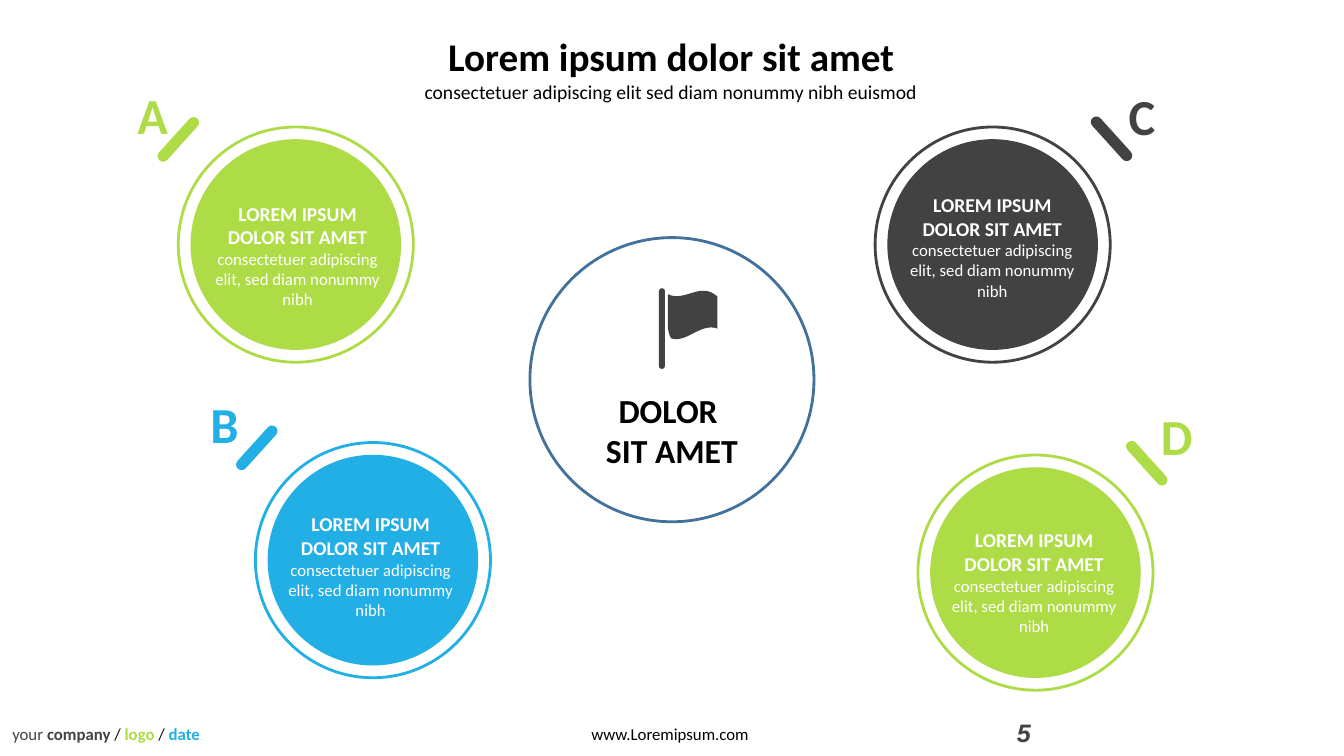
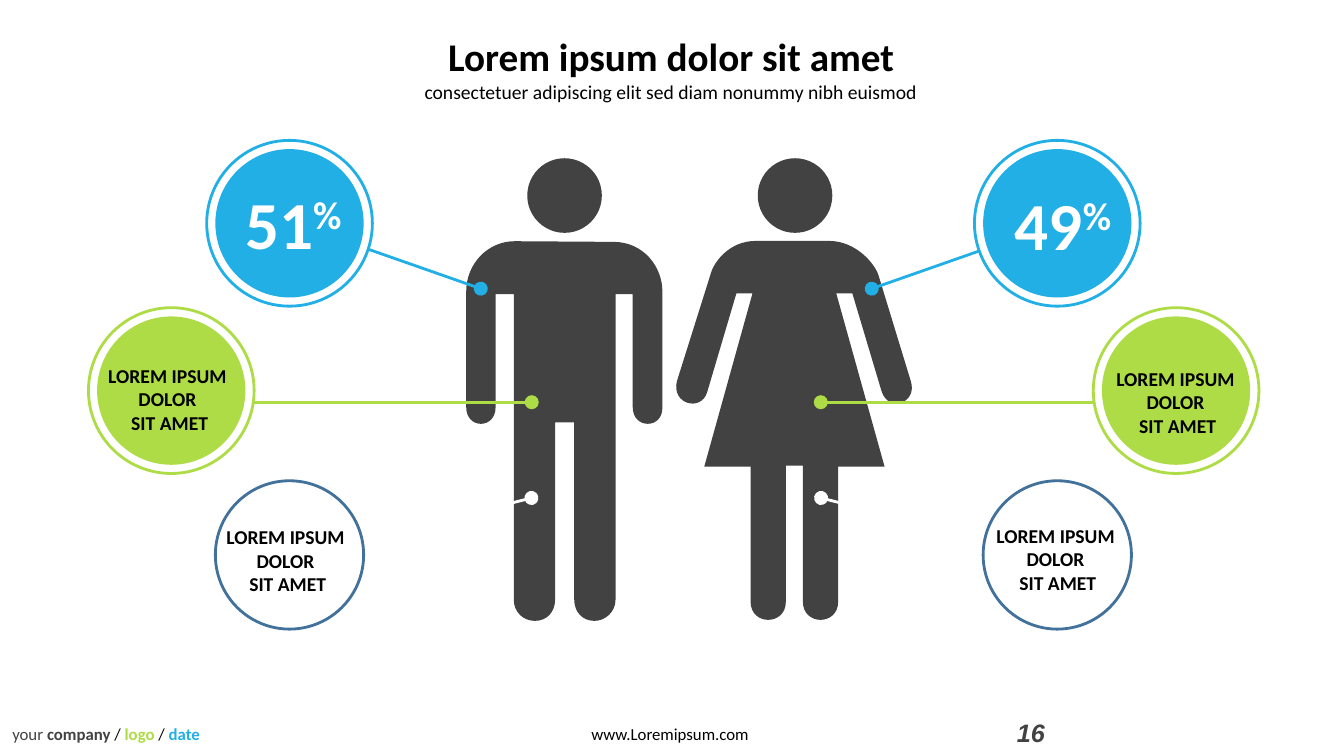
from dataclasses import dataclass

from lxml import etree
from pptx import Presentation
from pptx import util as u
from pptx.dml.color import RGBColor
from pptx.enum import shapes, text
from pptx.oxml import ns


@dataclass(frozen=True)
class Theme:
    lime: str = "AEDC46"
    sky: str = "21AFE6"
    charcoal: str = "424242"
    steel: str = "42719B"
    black: str = "000000"
    white: str = "FFFFFF"
    body_font: str = "Calibri"
    number_font: str = "Arial"
    small: float = 12
    label: float = 14
    number: float = 18
    hub: float = 24
    title: float = 28
    letter: float = 36
    percent: float = 48
    outline: float = 2


THEME = Theme()
LEFT, CENTER = text.PP_ALIGN.LEFT, text.PP_ALIGN.CENTER
OVAL, CAPSULE = shapes.MSO_SHAPE.OVAL, shapes.MSO_SHAPE.ROUNDED_RECTANGLE

Point = tuple[float, float]


@dataclass(frozen=True)
class Box:
    left: float
    top: float
    width: float
    height: float

    def lengths(self) -> tuple[u.Length, ...]:
        return tuple(u.Pt(v) for v in (self.left, self.top, self.width, self.height))


@dataclass(frozen=True)
class Span:
    """A stretch of text that departs from the style of its line."""
    words: str
    color: str | None = None
    bold: bool | None = None
    raised: bool = False


@dataclass(frozen=True)
class Line:
    spans: str | tuple[Span, ...]
    size: float
    color: str = THEME.black
    bold: bool = False
    italic: bool = False
    font: str = THEME.body_font


@dataclass(frozen=True)
class Topic:
    letter: str
    color: str
    center: Point
    words_at: Point
    bar_at: Point
    bar_angle: float
    letter_box: Box


@dataclass(frozen=True)
class Badge:
    center: Point
    color: str
    words: Box
    lines: tuple[Line, ...]
    align: text.PP_ALIGN = CENTER
    wrap: bool = True
    edge: str | None = None


@dataclass(frozen=True)
class Link:
    start: Point
    end: Point
    color: str


@dataclass(frozen=True)
class Outline:
    """A start point, then steps: 2 numbers for a line, 6 for a Bézier curve."""
    start: Point
    steps: tuple[tuple[float, ...], ...]


FLAG = Outline((477.4, 210.2), (
    (477.4, 234.7), (478, 238.3, 478.8, 241.2, 480.2, 241.9),
    (491, 244.8, 501.1, 230.4, 512.6, 234.7), (512.6, 211.7),
    (500.4, 200.9, 489.6, 216, 477.4, 210.2)))
WOMAN = Outline((592.6, 172.1), (
    (611.3, 172.1, 625, 187.9, 627.8, 196.6), (650.9, 272.2),
    (655.9, 288, 635, 295.2, 630, 279.4), (609.1, 209.5), (597.6, 209.5),
    (632.2, 333.4), (599, 333.4), (599, 429.8),
    (599, 447.1, 573.8, 447.1, 573.8, 429.8), (573.8, 332.6), (561.6, 332.6),
    (561.6, 429.8), (561.6, 447.1, 536.4, 447.1, 536.4, 429.8), (536.4, 333.4),
    (503.3, 333.4), (537.8, 209.5), (526.3, 209.5), (505.4, 280.1),
    (501.1, 294.5, 479.5, 288.7, 483.8, 272.2), (507.6, 196.6),
    (509.8, 187.2, 521.3, 172.1, 540, 172.1)))
MAN = Outline((367.2, 428.4), (
    (367.2, 437, 373.7, 443.5, 382.3, 443.5), (391, 443.5, 396.7, 437, 396.7, 428.4),
    (396.7, 301.7), (410.4, 301.7), (410.4, 428.4),
    (410.4, 437, 416.2, 443.5, 424.8, 443.5), (432.7, 443.5, 439.9, 437, 439.9, 428.4),
    (439.9, 210.2), (452.2, 210.2), (452.2, 290.9),
    (452.2, 306.7, 473.8, 306.7, 473.4, 290.9), (473.4, 208.1),
    (473.4, 190.8, 460.1, 172.8, 438.5, 172.8), (367.9, 172.3),
    (348.5, 172.3, 333.2, 188.6, 333.2, 208.1), (333.2, 290.9),
    (333.2, 306.7, 354.2, 306.7, 354.2, 290.9), (354.2, 210.2), (367.2, 210.2)))

TOPICS = (
    Topic("A", THEME.lime, (211.4, 174.7), (145.4, 140.4), (107.3, 95.6), 312.1,
          Box(91.1, 56.2, 36, 50.4)),
    Topic("B", THEME.sky, (266.5, 400.1), (197.6, 362.4), (163.4, 315.9), 312.1,
          Box(143.3, 277.2, 34.6, 50.4)),
    Topic("C", THEME.charcoal, (709.4, 174.7), (641.9, 134.3), (774.2, 95.2), 47.9,
          Box(799.5, 57.6, 33.1, 50.4)),
    Topic("D", THEME.lime, (740, 409), (671.8, 373.9), (799.4, 326.9), 47.9,
          Box(822.6, 286, 36.7, 50.4)),
)

LABEL = tuple(Line(words, THEME.label, bold=True)
              for words in ("LOREM IPSUM ", "DOLOR ", "SIT AMET"))


def percent_badge(center: Point, words_at: Point, figure: str) -> Badge:
    line = Line((Span(figure), Span("%", raised=True)), THEME.percent, THEME.white, True)
    return Badge(center, THEME.sky, Box(*words_at, 83.5, 64.8), (line,), LEFT, False)


def label_badge(center: Point, words_at: Point, color: str, edge: str | None = None) -> Badge:
    return Badge(center, color, Box(*words_at, 134.6, 57.6), LABEL, edge=edge)


BADGES = (
    percent_badge((206.9, 159.5), (168.1, 126.7), "51"),
    label_badge((122.4, 279), (54, 256.3), THEME.lime),
    label_badge((206.9, 396.4), (138.4, 371.5), THEME.white, THEME.steel),
    percent_badge((755.6, 159.5), (718.1, 127.4), "49"),
    label_badge((840.5, 279), (774.4, 258.5), THEME.lime),
    label_badge((755.6, 396.4), (688.7, 370.5), THEME.white, THEME.steel),
)
LINKS = (
    Link((343.6, 206.2), (229.7, 166.3), THEME.sky),
    Link((380, 287.3), (149, 287.3), THEME.lime),
    Link((379.8, 355.7), (229.7, 393.8), THEME.white),
)
LINK_MIRROR = 966.6


def style(shape, fill: str, line: str | None = None) -> None:
    shape.shadow.inherit = False
    shape.fill.solid()
    shape.fill.fore_color.rgb = RGBColor.from_string(fill)
    if line is None:
        shape.line.fill.background()
    else:
        shape.line.color.rgb = RGBColor.from_string(line)
        shape.line.width = u.Pt(THEME.outline)


def add_circle(slide, center: Point, diameter: float, fill: str, line: str | None = None) -> None:
    x, y = center
    box = Box(x - diameter / 2, y - diameter / 2, diameter, diameter)
    style(slide.shapes.add_shape(OVAL, *box.lengths()), fill, line)


def add_ringed_circle(slide, center: Point, outer: float, inner: float, color: str,
                      edge: str | None = None) -> None:
    add_circle(slide, center, outer, THEME.white, color)
    add_circle(slide, center, inner, color, edge)


def add_capsule(slide, box: Box, color: str, angle: float = 0) -> None:
    capsule = slide.shapes.add_shape(CAPSULE, *box.lengths())
    capsule.adjustments[0] = 0.5
    capsule.rotation = angle
    style(capsule, color)


def add_outline(slide, outline: Outline, color: str) -> None:
    """Lay out all points as lines, then join each curve's three into one Bézier."""
    builder = slide.shapes.build_freeform(*(u.Pt(v) for v in outline.start))
    builder.add_line_segments([(u.Pt(step[i]), u.Pt(step[i + 1]))
                               for step in outline.steps for i in range(0, len(step), 2)])
    shape = builder.convert_to_shape()
    segments = iter(list(shape._element.iter(ns.qn("a:lnTo"))))
    for step in outline.steps:
        first = next(segments)
        if len(step) == 6:
            first.tag = ns.qn("a:cubicBezTo")
            for _ in range(2):
                control = next(segments)
                first.append(control[0])
                control.getparent().remove(control)
    etree.SubElement(first.getparent(), ns.qn("a:close"))
    style(shape, color)


def add_link(slide, link: Link) -> None:
    ends = (u.Pt(v) for v in link.start + link.end)
    connector = slide.shapes.add_connector(shapes.MSO_CONNECTOR.STRAIGHT, *ends)
    connector.line.color.rgb = RGBColor.from_string(link.color)
    connector.line.width = u.Pt(THEME.outline)
    properties = connector._element.spPr
    etree.SubElement(properties.find(ns.qn("a:ln")), ns.qn("a:headEnd"),
                     type="oval", w="lg", len="lg")
    etree.SubElement(properties, ns.qn("a:effectLst"))


def add_text(slide, box: Box, *lines: Line, align: text.PP_ALIGN = LEFT,
             wrap: bool = True) -> None:
    frame = slide.shapes.add_textbox(*box.lengths()).text_frame
    frame.word_wrap = wrap
    frame.auto_size = text.MSO_AUTO_SIZE.SHAPE_TO_FIT_TEXT
    for index, line in enumerate(lines):
        paragraph = frame.add_paragraph() if index else frame.paragraphs[0]
        paragraph.alignment = align
        font = paragraph.font
        font.name, font.size = line.font, u.Pt(line.size)
        font.bold, font.italic = line.bold, line.italic
        font.color.rgb = RGBColor.from_string(line.color)
        spans = (Span(line.spans),) if isinstance(line.spans, str) else line.spans
        for span in spans:
            run = paragraph.add_run()
            run.text = span.words
            if span.bold is not None:
                run.font.bold = span.bold
            if span.color:
                run.font.color.rgb = RGBColor.from_string(span.color)
            if span.raised:
                run._r.get_or_add_rPr().set("baseline", "30000")


def add_base_slide(presentation, number: str):
    """Add a blank slide with the title and footer that all slides share."""
    slide = presentation.slides.add_slide(presentation.slide_layouts[6])
    add_text(slide, Box(415.6, 513.4, 127.4, 21.6),
             Line("www.Loremipsum.com", THEME.small), wrap=False)
    credit = (Span("your "), Span("company ", bold=True), Span("/ ", THEME.black),
              Span("logo ", THEME.lime, True), Span("/ ", THEME.black),
              Span("date", THEME.sky, True))
    add_text(slide, Box(1.7, 513.4, 149, 21.6),
             Line(credit, THEME.small, THEME.charcoal), wrap=False)
    add_text(slide, Box(719.6, 509, 216, 28.8),
             Line(number, THEME.number, THEME.charcoal, True, True, THEME.number_font))
    add_text(slide, Box(286.9, 19.7, 385.2, 57.6),
             Line("Lorem ipsum dolor sit amet", THEME.title, bold=True),
             Line("consectetuer adipiscing elit sed diam nonummy nibh euismod", THEME.label),
             align=CENTER)
    return slide


def add_topics_slide(presentation) -> None:
    slide = add_base_slide(presentation, "5")
    add_ringed_circle(slide, (480.2, 271.2), 231.1, 203, THEME.white, THEME.steel)
    add_outline(slide, FLAG, THEME.charcoal)
    add_capsule(slide, Box(470.9, 205.9, 4.3, 57.6), THEME.charcoal)
    add_text(slide, Box(425.8, 275, 108.7, 64.8),
             *(Line(words, THEME.hub, bold=True) for words in ("DOLOR ", "SIT AMET")),
             align=CENTER, wrap=False)
    for topic in TOPICS:
        add_ringed_circle(slide, topic.center, 168, 150.5, topic.color)
        add_text(slide, Box(*topic.words_at, 134.6, 84.2),
                 Line("LOREM IPSUM DOLOR SIT AMET", THEME.label, THEME.white, True),
                 Line("consectetuer adipiscing elit, sed diam nonummy nibh",
                      THEME.small, THEME.white),
                 align=CENTER)
        add_capsule(slide, Box(*topic.bar_at, 40.3, 7.9), topic.color, topic.bar_angle)
        add_text(slide, topic.letter_box,
                 Line(topic.letter, THEME.letter, topic.color, True), wrap=False)


def add_people_slide(presentation) -> None:
    slide = add_base_slide(presentation, "16")
    for body, head_x in ((WOMAN, 568.2), (MAN, 403.5)):
        add_outline(slide, body, THEME.charcoal)
        add_circle(slide, (head_x, 139.7), 53.3, THEME.charcoal)
    for link in LINKS:
        add_link(slide, link)
        start, end = ((LINK_MIRROR - x, y) for x, y in (link.start, link.end))
        add_link(slide, Link(start, end, link.color))
    for badge in BADGES:
        add_ringed_circle(slide, badge.center, 118.4, 106, badge.color, badge.edge)
        add_text(slide, badge.words, *badge.lines, align=badge.align, wrap=badge.wrap)


def main() -> None:
    presentation = Presentation()
    presentation.slide_width, presentation.slide_height = u.Pt(960.48), u.Pt(540)
    add_topics_slide(presentation)
    add_people_slide(presentation)
    presentation.save("out.pptx")


if __name__ == "__main__":
    main()
